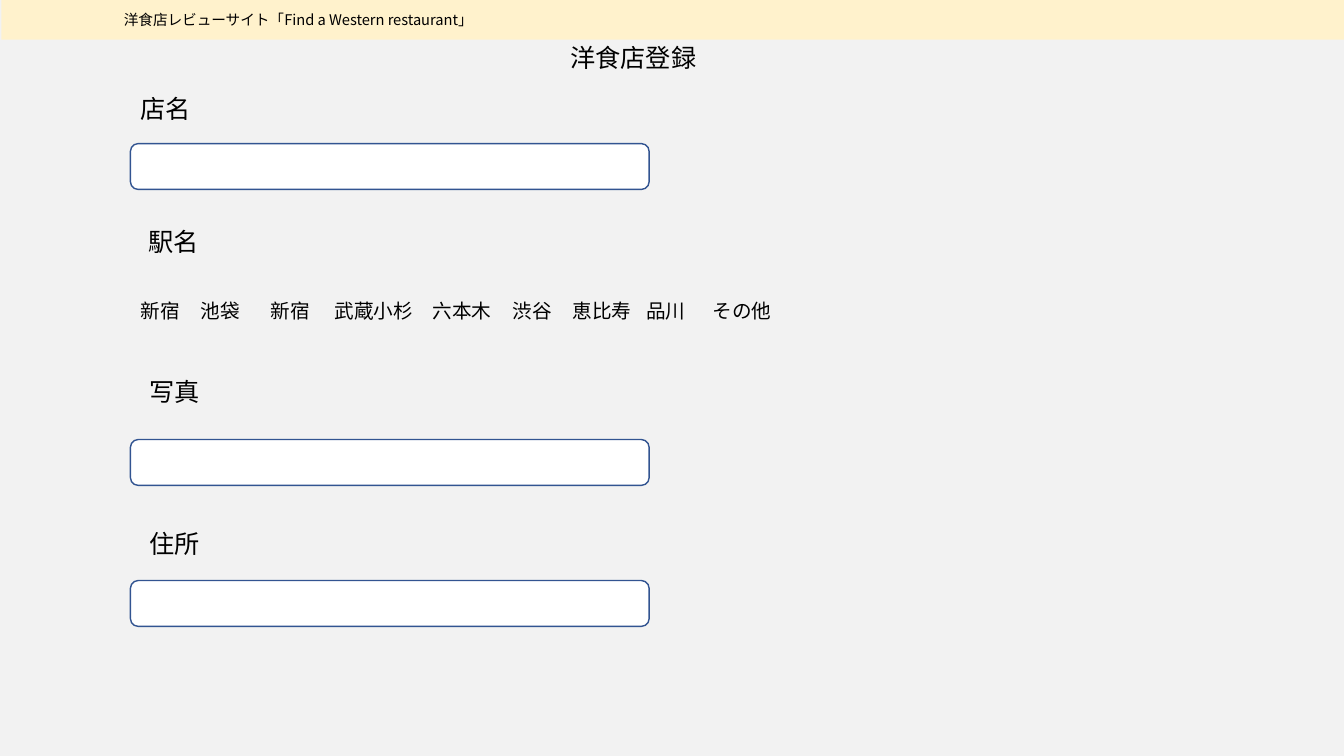
from lxml import etree
from pptx import Presentation
from pptx.dml.color import RGBColor
from pptx.enum import shapes, text
from pptx.oxml import ns
from pptx.util import Pt

FONT = "Noto Sans CJK JP"
BLACK = RGBColor(0x00, 0x00, 0x00)
WHITE = RGBColor(0xFF, 0xFF, 0xFF)
GREY = RGBColor(0xF2, 0xF2, 0xF2)
CREAM = RGBColor(0xFF, 0xF2, 0xCC)
BLUE = RGBColor(0x32, 0x54, 0x91)

PAGE_WIDTH, PAGE_HEIGHT = 960, 540
TITLE = "洋食店登録"
SITE_NAME = "洋食店レビューサイト「Find a Western restaurant」"
LABELS = [("店名", 93, 63.2), ("駅名", 98.9, 158.4),
          ("写真", 99.4, 265.5), ("住所", 99.4, 374)]
STATIONS = [("新宿", 93.5), ("池袋", 136.4), ("新宿", 186.3),
            ("武蔵小杉", 231.8), ("六本木", 301.9), ("渋谷", 359.2),
            ("恵比寿", 401.8), ("品川", 454.5), ("その他", 502)]
STATION_TOP = 210.1
FIELD_TOPS = [102.6, 314, 414.7]
FIELD_LEFT, FIELD_WIDTH, FIELD_HEIGHT = 93.2, 370.5, 32.7
INSET = 7.2


def write(page, words, left, top, size=18, width=None, height=29, box=None, wrap=False):
    width = width or len(words) * size + 2 * INSET
    if box is None:
        box = page.shapes.add_textbox(0, 0, 0, 0)
    box.left, box.top = Pt(left), Pt(top)
    box.width, box.height = Pt(width), Pt(height)
    frame = box.text_frame
    frame.word_wrap = wrap
    frame.auto_size = text.MSO_AUTO_SIZE.SHAPE_TO_FIT_TEXT
    frame.vertical_anchor = text.MSO_ANCHOR.TOP
    para = frame.paragraphs[0]
    para.alignment = text.PP_ALIGN.LEFT
    span = para.add_run()
    span.text = words
    span.font.name = FONT
    span.font.size = Pt(size)
    span.font.color.rgb = BLACK
    east_asian = etree.SubElement(span.font._element, ns.qn("a:ea"))
    east_asian.set("typeface", FONT)


def add_panel(page, kind, left, top, width, height, fill, line=None):
    panel = page.shapes.add_shape(kind, Pt(left), Pt(top), Pt(width), Pt(height))
    panel.shadow.inherit = False
    panel.fill.solid()
    panel.fill.fore_color.rgb = fill
    if line is None:
        panel.line.fill.background()
    else:
        panel.line.color.rgb = line
        panel.line.width = Pt(1)


def main():
    deck = Presentation()
    deck.slide_width, deck.slide_height = Pt(PAGE_WIDTH), Pt(PAGE_HEIGHT)
    page = deck.slides.add_slide(deck.slide_layouts[5])
    page.background.fill.solid()
    page.background.fill.fore_color.rgb = GREY

    write(page, TITLE, 400.2, 26.6, width=110, box=page.shapes.title, wrap=True)
    for top in FIELD_TOPS:
        add_panel(page, shapes.MSO_SHAPE.ROUNDED_RECTANGLE, FIELD_LEFT, top,
                  FIELD_WIDTH, FIELD_HEIGHT, WHITE, line=BLUE)
    for words, left, top in LABELS:
        write(page, words, left, top)
    for words, left in STATIONS:
        write(page, words, left, STATION_TOP, size=14, height=24.2)
    add_panel(page, shapes.MSO_SHAPE.RECTANGLE, 0.9, 0, PAGE_WIDTH - 0.9, 28.3, CREAM)
    write(page, SITE_NAME, 81.4, 4, size=10.5, width=270.7, height=20)

    deck.save("out.pptx")


if __name__ == "__main__":
    main()
